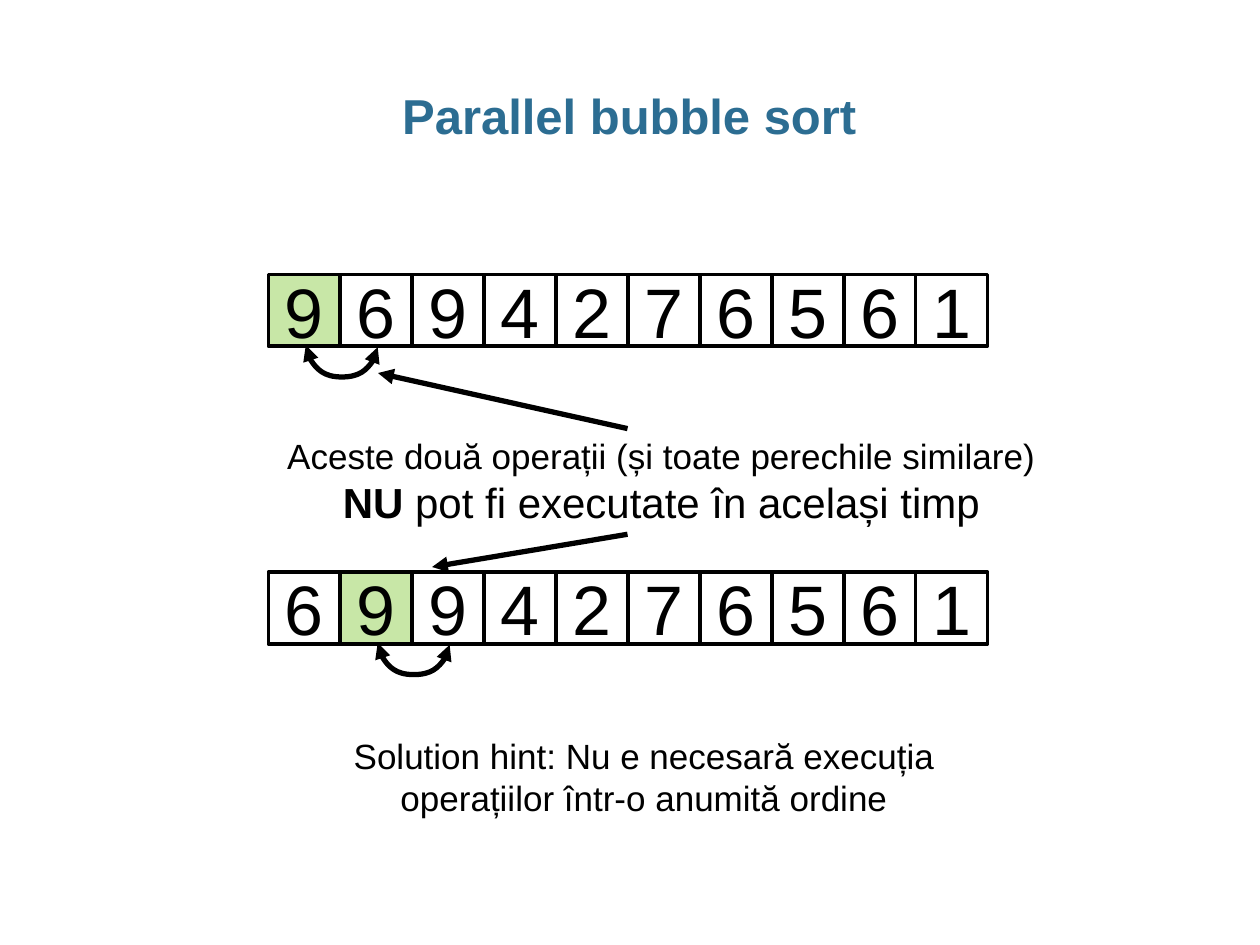
"""Build the slide on which swaps of a parallel bubble sort may not run together."""
from lxml import etree
from pptx import Presentation
from pptx.dml.color import RGBColor
from pptx.enum import shapes, text
from pptx.oxml.ns import qn
from pptx.util import Cm, Pt

TITLE = "Parallel bubble sort"
ROWS = [
    {"values": "9694276561", "active": 0, "top": 5.53},
    {"values": "6994276561", "active": 1, "top": 11.53},
]
LEFT, CELL = 5.41, 1.45
ARROWS = [((12.65, 8.64), (7.62, 7.52)), ((12.65, 10.77), (8.71, 11.43))]
NOTES = [
    ((6.15, 14.68, 13.67, 1.96), [
        ("Solution hint: Nu e necesară execuția operațiilor într-o anumită ordine", 20, False),
    ]),
    ((5.18, 8.64, 16.31, 2.13), [
        ("Aceste două operații (și toate perechile similare) ", 20, False),
        ("NU ", 24, True),
        ("pot fi executate în același timp", 24, False),
    ]),
]
BLACK, GREEN, BLUE = "000000", "92D050", "2C6D92"


def rgb(value):
    return RGBColor.from_string(value)


def add_run(p, content, size, bold=False, color=BLACK):
    r = p.add_run()
    r.text = content
    r.font.name, r.font.size, r.font.bold = "Arial", Pt(size), bold
    r.font.color.rgb = rgb(color)
    p.alignment = text.PP_ALIGN.CENTER


def add_cell(s, x, y, value, active):
    sp = s.shapes.add_shape(shapes.MSO_SHAPE.RECTANGLE, Cm(x), Cm(y), Cm(CELL), Cm(CELL))
    sp.shadow.inherit = False
    sp.line.color.rgb, sp.line.width = rgb(BLACK), Pt(2)
    if active:
        sp.fill.solid()
        sp.fill.fore_color.rgb = rgb(GREEN)
        color = sp.fill._xPr.find(".//" + qn("a:srgbClr"))
        etree.SubElement(color, qn("a:alpha"), val="50000")
    else:
        sp.fill.background()
    sp.text_frame.vertical_anchor = text.MSO_ANCHOR.MIDDLE
    add_run(sp.text_frame.paragraphs[0], value, 40)


def add_arrow(s, kind, start, end, heads):
    c = s.shapes.add_connector(kind, *(Cm(v) for v in start + end))
    c.line.color.rgb, c.line.width = rgb(BLACK), Pt(3)
    for head in heads:
        etree.SubElement(c.line._get_or_add_ln(), qn("a:" + head), type="triangle")
    etree.SubElement(c._element.spPr, qn("a:effectLst"))
    return c


def add_swap(s, x, y):
    thin = 0.04
    c = add_arrow(s, shapes.MSO_CONNECTOR.CURVE, (x + thin / 2, y - CELL / 2),
                  (x - thin / 2, y + CELL / 2), ["headEnd", "tailEnd"])
    spPr = c._element.spPr
    spPr.find(qn("a:xfrm")).set("rot", "16200000")
    adjust = spPr.find(qn("a:prstGeom")).find(qn("a:avLst"))
    etree.SubElement(adjust, qn("a:gd"), name="adj1", fmla="val 1600000")


def add_note(s, box, runs):
    tf = s.shapes.add_textbox(*(Cm(v) for v in box)).text_frame
    tf.word_wrap = True
    tf.auto_size = text.MSO_AUTO_SIZE.SHAPE_TO_FIT_TEXT
    for run in runs:
        add_run(tf.paragraphs[0], *run)


def add_title(s):
    sp = s.shapes.title
    sp.left, sp.top, sp.width, sp.height = Cm(0.86), Cm(1.73), Cm(23.65), Cm(1.27)
    tf = sp.text_frame
    tf.margin_left = tf.margin_right = 0
    tf.vertical_anchor = text.MSO_ANCHOR.MIDDLE
    p = tf.paragraphs[0]
    p.line_spacing = 0.95
    add_run(p, TITLE, 28, True, BLUE)


def main():
    prs = Presentation()
    prs.slide_width, prs.slide_height = Cm(25.4), Cm(19.05)
    s = prs.slides.add_slide(prs.slide_layouts[5])
    add_title(s)
    for row in ROWS:
        for i, value in enumerate(row["values"]):
            add_cell(s, LEFT + i * CELL, row["top"], value, i == row["active"])
        add_swap(s, LEFT + (row["active"] + 1) * CELL + 0.03, row["top"] + CELL)
    for start, end in ARROWS:
        add_arrow(s, shapes.MSO_CONNECTOR.STRAIGHT, start, end, ["tailEnd"])
    for box, runs in NOTES:
        add_note(s, box, runs)
    prs.save("out.pptx")


if __name__ == "__main__":
    main()
